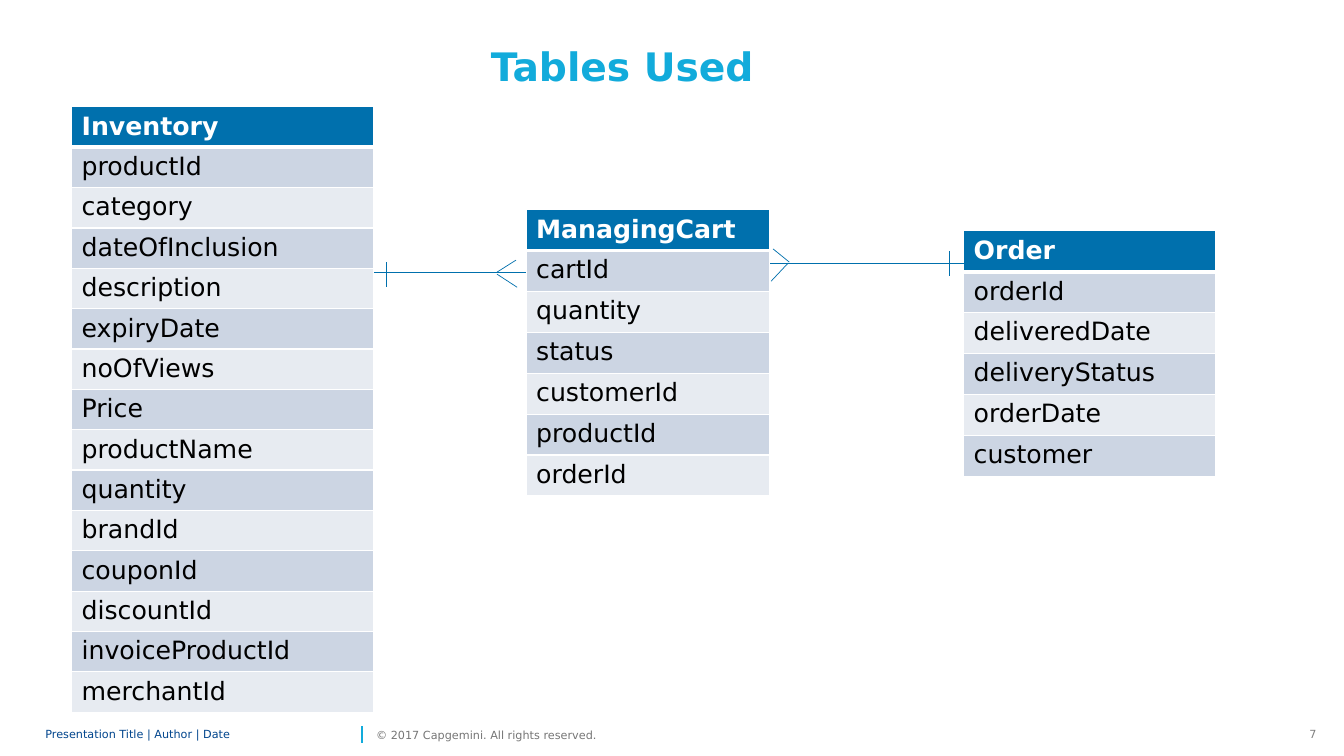
from lxml.etree import SubElement
from pptx import Presentation
from pptx.dml.color import RGBColor
from pptx.enum.shapes import MSO_CONNECTOR
from pptx.enum.text import MSO_ANCHOR, MSO_AUTO_SIZE, PP_ALIGN
from pptx.oxml.ns import qn
from pptx.util import Pt

FONT = "DejaVu Sans"
COLORS = {
    "header": "0070AD", "band_dark": "CCD5E3", "band_light": "E7EBF1",
    "border": "FFFFFF", "header_text": "FFFFFF", "field_text": "000000",
    "accent": "12ABDB", "footer": "00458D", "copyright": "767676", "number": "808080",
}

# Entity: left, top, width, row height, name, fields
ENTITIES = [
    (688.3, 164.9, 180, 29.2, "Order",
     ["orderId", "deliveredDate", "deliveryStatus", "orderDate", "customer"]),
    (375.8, 149.8, 174.2, 29.2, "ManagingCart",
     ["cartId", "quantity", "status", "customerId", "productId", "orderId"]),
    (51.1, 76.3, 216, 26.64, "Inventory",
     ["productId", "category", "dateOfInclusion", "description", "expiryDate",
      "noOfViews", "Price", "productName", "quantity", "brandId", "couponId",
      "discountId", "invoiceProductId", "merchantId"]),
]

# Relation lines: x1, y1, x2, y2
RELATIONS = [
    # Inventory (one) to ManagingCart (many)
    (267.1, 194.4, 375.8, 194.4),
    (275.8, 187.2, 275.8, 205.2),
    (355, 195.8, 369.4, 205.2),
    (355, 194.4, 368.6, 185.8),
    # ManagingCart (many) to Order (one)
    (550.1, 188.1, 688.3, 188.1),
    (678.2, 179.3, 678.2, 197.3),
    (552.2, 177.8, 563.8, 187.2),
    (563, 187.9, 550.8, 200.9),
]


def rgb(color):
    return RGBColor.from_string(COLORS[color])


def apply_format(target, values):
    for attribute, value in values.items():
        setattr(target, attribute, value)


def write(paragraph, text, size, color, bold=False):
    run = paragraph.add_run()
    run.text = text
    apply_format(run.font, {"name": FONT, "size": Pt(size), "bold": bold})
    run.font.color.rgb = rgb(color)


def add_label(slide, box, text, size, color, bold=False, frame_format=None,
              paragraph_format=None):
    frame = slide.shapes.add_textbox(*map(Pt, box)).text_frame
    apply_format(frame, {"word_wrap": True, "margin_left": 0, "margin_right": 0,
                         "margin_top": 0, "margin_bottom": 0, **(frame_format or {})})
    paragraph = frame.paragraphs[0]
    apply_format(paragraph, paragraph_format or {})
    write(paragraph, text, size, color, bold)


def add_line(slide, ends, color, width):
    line = slide.shapes.add_connector(MSO_CONNECTOR.STRAIGHT, *map(Pt, ends))
    line.line.color.rgb = rgb(color)
    line.line.width = Pt(width)
    SubElement(line._element.spPr, qn("a:effectLst"))


def add_borders(cell, widths):
    properties = cell._tc.get_or_add_tcPr()
    for side in ("L", "R", "T", "B"):
        border = SubElement(properties, qn(f"a:ln{side}"), w=str(Pt(widths.get(side, 1))))
        fill = SubElement(border, qn("a:solidFill"))
        SubElement(fill, qn("a:srgbClr"), val=COLORS["border"])


def add_entity(slide, left, top, width, row_height, name, fields):
    rows = [name, *fields]
    table = slide.shapes.add_table(
        len(rows), 1, Pt(left), Pt(top), Pt(width), Pt(row_height * len(rows))).table
    for index, text in enumerate(rows):
        table.rows[index].height = Pt(row_height)
        cell = table.cell(index, 0)
        is_header = index == 0
        # The rule under the header is thicker than the rest
        add_borders(cell, {0: {"B": 3}, 1: {"T": 3}}.get(index, {}))
        band = "band_dark" if index % 2 else "band_light"
        cell.fill.solid()
        cell.fill.fore_color.rgb = rgb("header" if is_header else band)
        write(cell.text_frame.paragraphs[0], text, 18,
              "header_text" if is_header else "field_text", is_header)


def add_footer(slide):
    middle = {"vertical_anchor": MSO_ANCHOR.MIDDLE}
    add_label(slide, (928.1, 516.2, 19.4, 17.3), "7", 8, "number",
              frame_format={"word_wrap": False, "auto_size": MSO_AUTO_SIZE.SHAPE_TO_FIT_TEXT,
                            "margin_left": Pt(7.2), "margin_right": Pt(7.2),
                            "margin_top": Pt(3.6), "margin_bottom": Pt(3.6)},
              paragraph_format={"alignment": PP_ALIGN.RIGHT})
    add_line(slide, (258.5, 530.6, 258.5, 518.4), "accent", 1)
    add_label(slide, (32.4, 516.2, 222.5, 17.3), "Presentation Title | Author | Date",
              8, "footer", frame_format=middle, paragraph_format={"line_spacing": 0.85})
    add_label(slide, (268.6, 516.2, 175, 17.3), "© 2017 Capgemini. All rights reserved.",
              8, "copyright", frame_format={**middle, "word_wrap": False})


def main():
    deck = Presentation()
    deck.slide_width, deck.slide_height = Pt(960), Pt(540)
    slide = deck.slides.add_slide(deck.slide_layouts[6])

    add_footer(slide)

    # Title, nudged right of the box centre
    add_label(slide, (221.8, 41.8, 436.3, 34.6), "Tables Used", 28, "accent", True,
              frame_format={"margin_left": Pt(9)},
              paragraph_format={"alignment": PP_ALIGN.CENTER, "line_spacing": Pt(22),
                                "space_after": Pt(6)})

    # Entities and their relations
    for entity in ENTITIES:
        add_entity(slide, *entity)
    for ends in RELATIONS:
        add_line(slide, ends, "header", 0.5)

    deck.save("out.pptx")


if __name__ == "__main__":
    main()
